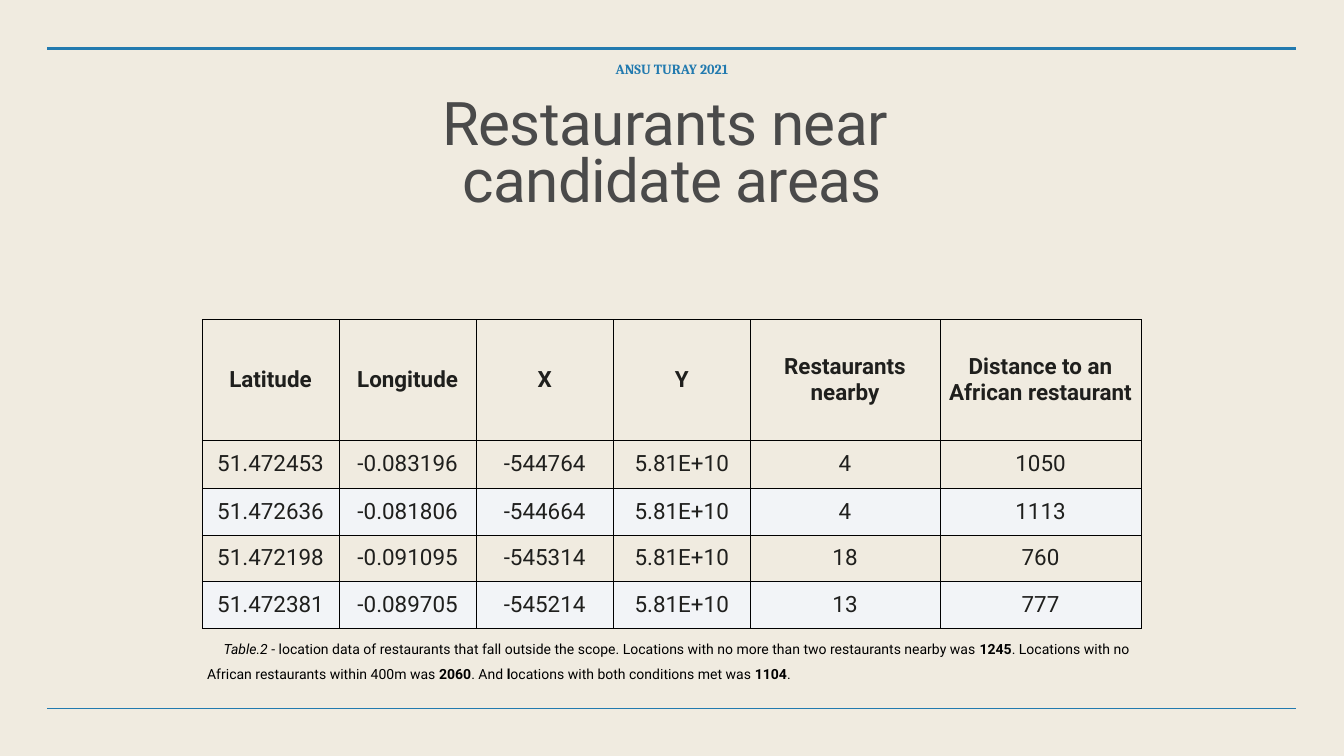
from dataclasses import dataclass

from lxml.etree import SubElement as Sub
from pptx import Presentation
from pptx.dml.color import RGBColor as Rgb
from pptx.enum.shapes import MSO_CONNECTOR as Conn
from pptx.enum.text import MSO_ANCHOR as Anchor, MSO_AUTO_SIZE as Auto, PP_ALIGN as Align
from pptx.oxml import parse_xml
from pptx.oxml.ns import nsdecls, qn
from pptx.util import Inches, Pt


@dataclass(frozen=True)
class Theme:
    """Colours, fonts and type sizes of the slide."""
    paper: str = "F0EBE0"
    blue: str = "227AAF"
    grey: str = "4A4A4A"
    ink: str = "1F1F1D"
    black: str = "000000"
    band: str = "F2F4F7"
    sans: str = "Roboto"
    serif: str = "Cambria"
    head: int = 86
    cell: int = 32
    note: int = 20


def write(frame, lines, size, color, font, align=Align.CENTER, anchor=Anchor.MIDDLE,
          bold=False, space=None, indent=0, track=0, pad=0.06):
    """Fill a text frame; a line is a list of (text, style) runs."""
    frame.word_wrap = True
    frame.vertical_anchor = anchor
    frame.margin_left = frame.margin_right = Inches(pad)
    frame.margin_top = frame.margin_bottom = Inches(pad)
    for i, line in enumerate(lines):
        para = frame.add_paragraph() if i else frame.paragraphs[0]
        para.alignment = align
        if space:
            para.line_spacing = space
        if indent:
            para._p.get_or_add_pPr().set("indent", str(Inches(indent)))
        for text, style in line:
            run = para.add_run()
            run.text = text
            face = run.font
            face.name, face.size = font, Pt(size)
            face.color.rgb = Rgb.from_string(color)
            face.bold = bold or style == "b"
            face.italic = style == "i"
            if track:
                run._r.get_or_add_rPr().set("spc", str(round(track * 100)))


class Deck:
    """Holds the theme and the current slide."""

    def __init__(self, theme):
        """Start a deck with one title-only slide."""
        self.theme = theme
        self.show = Presentation()
        self.show.slide_width, self.show.slide_height = Inches(26.67), Inches(15)
        self.slide = self.show.slides.add_slide(self.show.slide_layouts[5])
        fill = self.slide.background.fill
        fill.solid()
        fill.fore_color.rgb = Rgb.from_string(theme.paper)

    def rule(self, left, right, y, width):
        """Draw a horizontal rule."""
        line = self.slide.shapes.add_connector(
            Conn.STRAIGHT, Inches(left), Inches(y), Inches(right), Inches(y))
        line.line.color.rgb = Rgb.from_string(self.theme.blue)
        line.line.width = Pt(width)
        Sub(line._element.spPr, qn("a:effectLst"))

    def title(self, box, lines, **form):
        """Place and fill the title."""
        shape = self.slide.shapes.title
        shape.left, shape.top, shape.width, shape.height = map(Inches, box)
        write(shape.text_frame, lines, **form)
        shape.text_frame.auto_size = Auto.NONE

    def text(self, box, lines, **form):
        """Add a text box."""
        shape = self.slide.shapes.add_textbox(*map(Inches, box))
        write(shape.text_frame, lines, **form)

    def edge(self, cell, widths):
        """Border a cell: left, right, top, bottom widths in points."""
        props = cell._tc.get_or_add_tcPr()
        for i, (side, width) in enumerate(zip("LRTB", widths)):
            props.insert(i, parse_xml(
                f'<a:ln{side} {nsdecls("a")} w="{Pt(width)}"><a:solidFill>'
                f'<a:srgbClr val="{self.theme.black}"/></a:solidFill></a:ln{side}>'))

    def table(self, left, top, cols, rows, data):
        """Add a bordered table with a bold head and light bands."""
        look = self.theme
        frame = self.slide.shapes.add_table(
            len(rows), len(cols), Inches(left), Inches(top),
            Inches(sum(cols)), Inches(sum(rows)))
        grid = frame.table
        for col, width in zip(grid.columns, cols):
            col.width = Inches(width)
        for r, (row, high) in enumerate(zip(data, rows)):
            grid.rows[r].height = Inches(high)
            for c, value in enumerate(row):
                cell = grid.cell(r, c)
                write(cell.text_frame, [[(value, "")]], look.cell, look.ink,
                      look.sans, bold=r == 0)
                cell.vertical_anchor = Anchor.MIDDLE
                cell.margin_left = cell.margin_right = Inches(0.08)
                cell.margin_top = cell.margin_bottom = Inches(0.08)
                if r and r % 2 == 0:
                    cell.fill.solid()
                    cell.fill.fore_color.rgb = Rgb.from_string(look.band)
                else:
                    cell.fill.background()
                self.edge(cell, (0.5, 0.5, 1 if r == 1 else 0.5, 1 if r == 0 else 0.5))


DATA = [
    ["Latitude", "Longitude", "X", "Y", "Restaurants nearby",
     "Distance to an African restaurant"],
    ["51.472453", "-0.083196", "-544764", "5.81E+10", "4", "1050"],
    ["51.472636", "-0.081806", "-544664", "5.81E+10", "4", "1113"],
    ["51.472198", "-0.091095", "-545314", "5.81E+10", "18", "760"],
    ["51.472381", "-0.089705", "-545214", "5.81E+10", "13", "777"],
]
NOTE = [
    ("Table.2", "i"),
    (" - location data of restaurants that fall outside the scope. "
     "Locations with no more than two restaurants nearby was ", ""),
    ("1245", "b"),
    (". Locations with no African restaurants within 400m was ", ""),
    ("2060", "b"),
    (". And", ""),
    (" l", "b"),
    ("ocations with both conditions met was ", ""),
    ("1104", "b"),
    (".", ""),
]


def main():
    """Build and save the slide."""
    look = Theme()
    deck = Deck(look)
    for y, width in ((0.97, 4), (14.06, 1)):
        deck.rule(0.94, 25.72, y, width)
    deck.title((1.89, 1.9, 22.89, 3.53),
               [[("Restaurants near ", "")], [("candidate areas", "")]],
               size=look.head, color=look.grey, font=look.sans,
               anchor=Anchor.TOP, space=0.8, track=-0.9)
    deck.text((1.89, 1.1, 22.89, 0.53), [[("ANSU TURAY 2021", "")]],
              size=look.note, color=look.blue, font=look.serif, bold=True)
    deck.table(4.01, 6.34, [2.72] * 4 + [3.76, 4], [2.4, 0.94] + [0.93] * 3, DATA)
    deck.text((4.05, 12.52, 18.58, 1.05), [NOTE], size=look.note, color=look.black,
              font=look.sans, align=Align.LEFT, space=1.5, indent=0.33)
    deck.show.save("out.pptx")


if __name__ == "__main__":
    main()
